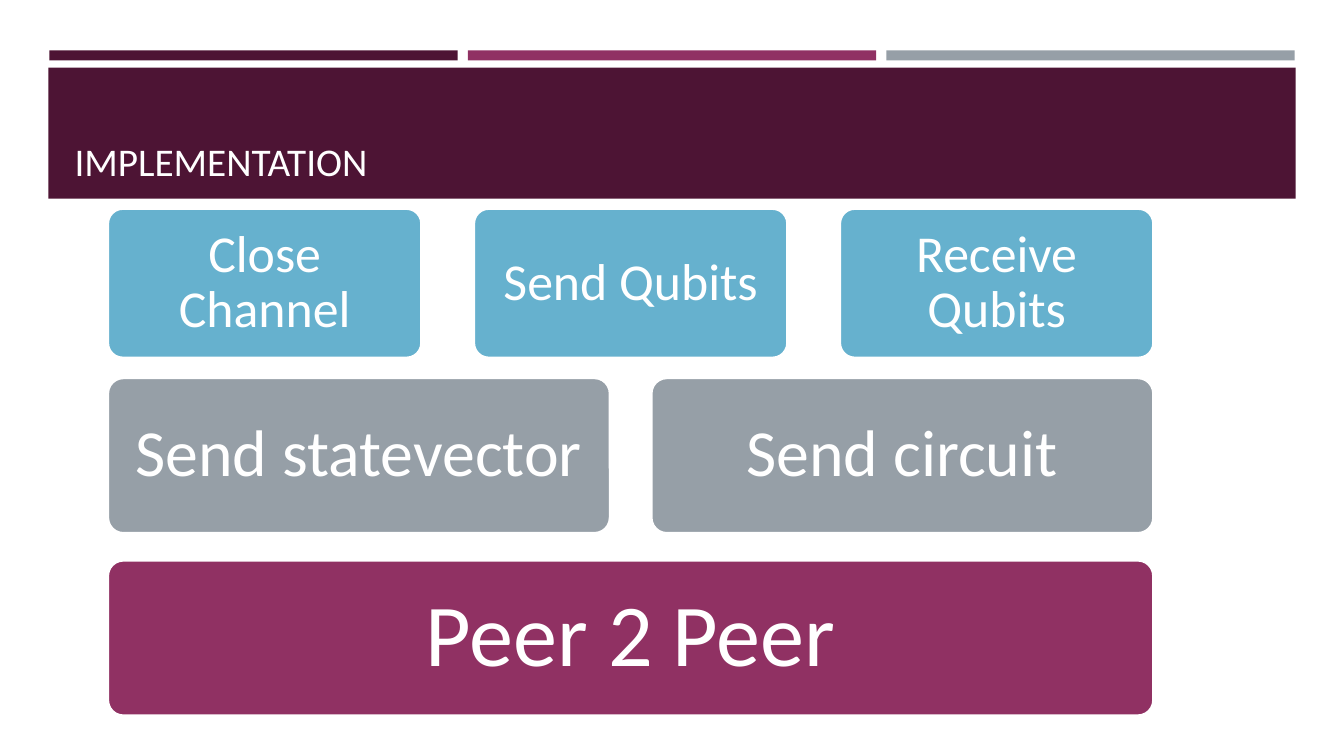
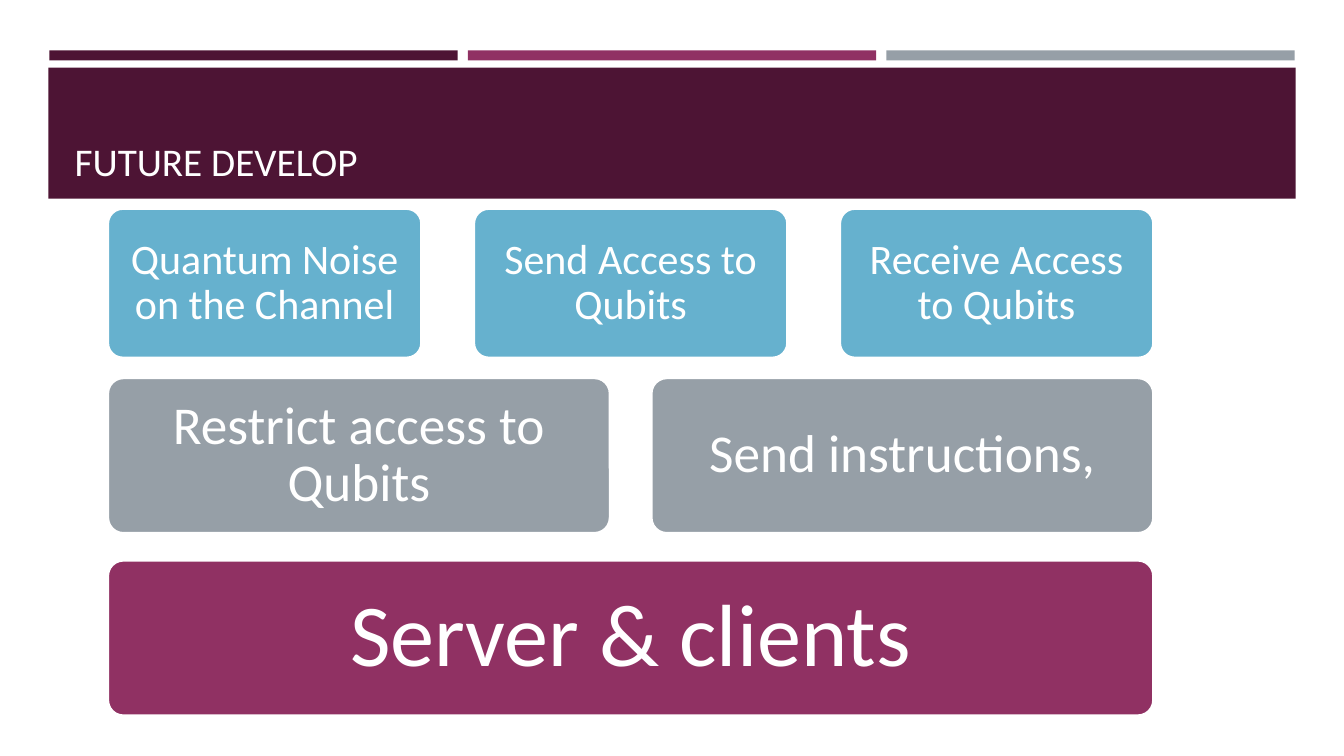
"""Build two slides that show a channel's features as rows of tiles."""
from dataclasses import dataclass

import pptx
import pptx.dml.color
import pptx.enum.shapes
import pptx.enum.text
import pptx.util

Inches = pptx.util.Inches
Pt = pptx.util.Pt
Shape = pptx.enum.shapes.MSO_SHAPE
Align = pptx.enum.text.PP_ALIGN
Anchor = pptx.enum.text.MSO_ANCHOR
AutoSize = pptx.enum.text.MSO_AUTO_SIZE


@dataclass(frozen=True)
class Theme:
    font: str = "Calibri"
    plum: str = "4D1434"
    berry: str = "903163"
    grey: str = "969FA7"
    sky: str = "66B1CE"
    white: str = "FFFFFF"
    title_size: int = 28
    base_size: int = 63
    outline: float = 1.75


@dataclass(frozen=True)
class Row:
    top: float
    height: float
    gap: float
    color: str


THEME = Theme()
TILES_LEFT, TILES_WIDTH = 1.07, 10.37
BASE = Row(5.56, 1.54, 0, THEME.berry)
MIDDLE = Row(3.75, 1.54, 0.41, THEME.grey)
TOP = Row(2.07, 1.48, 0.52, THEME.sky)

SLIDES = [
    ("IMPLEMENTATION", [
        (BASE, THEME.base_size, ["Peer 2 Peer"]),
        (MIDDLE, 47, ["Send statevector", "Send circuit"]),
        (TOP, 37, ["Close Channel", "Send Qubits", "Receive Qubits"]),
    ]),
    ("FUTURE DEVELOP", [
        (BASE, THEME.base_size, ["Server & clients"]),
        (MIDDLE, 38, ["Restrict access to Qubits", "Send instructions,"]),
        (TOP, 30, ["Quantum Noise on the Channel", "Send Access to Qubits",
                   "Receive Access to Qubits"]),
    ]),
]


def rgb(color):
    return pptx.dml.color.RGBColor.from_string(color)


def add_box(slide, kind, left, top, width, height, color):
    sp = slide.shapes.add_shape(
        kind, Inches(left), Inches(top), Inches(width), Inches(height))
    sp.shadow.inherit = False
    sp.fill.solid()
    sp.fill.fore_color.rgb = rgb(color)
    sp.line.fill.background()
    return sp


def set_text(tf, text, size, align):
    tf.text = text
    p = tf.paragraphs[0]
    p.alignment = align
    font = p.runs[0].font
    font.name = THEME.font
    font.size = Pt(size)
    font.color.rgb = rgb(THEME.white)
    return p


def add_tile(slide, left, row, width, text, size):
    sp = add_box(slide, Shape.ROUNDED_RECTANGLE, left, row.top, width, row.height, row.color)
    sp.adjustments[0] = 0.1
    sp.line.color.rgb = rgb(THEME.white)
    sp.line.width = Pt(THEME.outline)
    tf = sp.text_frame
    tf.word_wrap = True
    tf.vertical_anchor = Anchor.MIDDLE
    tf.margin_left = tf.margin_right = tf.margin_top = tf.margin_bottom = Pt(size * 0.3)
    set_text(tf, text, size, Align.CENTER).line_spacing = 0.9


def add_row(slide, row, size, labels):
    width = (TILES_WIDTH - row.gap * (len(labels) - 1)) / len(labels)
    for i, label in enumerate(labels):
        add_tile(slide, TILES_LEFT + i * (width + row.gap), row, width, label, size)


def style_layout(layout, slide):
    """Move the shared bands behind the layout's title and place that title."""
    bands = [add_box(slide, Shape.RECTANGLE, 0.49 + i * 4.15, 0.5, 4.05, 0.1, color)
             for i, color in enumerate((THEME.plum, THEME.berry, THEME.grey))]
    bands.append(add_box(slide, Shape.RECTANGLE, 0.48, 0.67, 12.37, 1.3, THEME.plum))
    for i, sp in enumerate(bands):
        layout.shapes.element.insert(2 + i, sp.element)
    title = layout.placeholders[0]
    title.left, title.top = Inches(0.64), Inches(0.77)
    title.width, title.height = Inches(12.06), Inches(1.11)
    title.text_frame.vertical_anchor = Anchor.BOTTOM
    title.text_frame.auto_size = AutoSize.NONE


def main():
    prs = pptx.Presentation()
    prs.slide_width, prs.slide_height = Inches(13.33), Inches(7.5)
    layout = prs.slide_layouts.get_by_name("Title Only")
    slides = [prs.slides.add_slide(layout) for _ in SLIDES]
    style_layout(layout, slides[0])
    for slide, (title, rows) in zip(slides, SLIDES):
        set_text(slide.shapes.title.text_frame, title, THEME.title_size, Align.LEFT)
        for row, size, labels in rows:
            add_row(slide, row, size, labels)
    prs.save("out.pptx")


if __name__ == "__main__":
    main()
